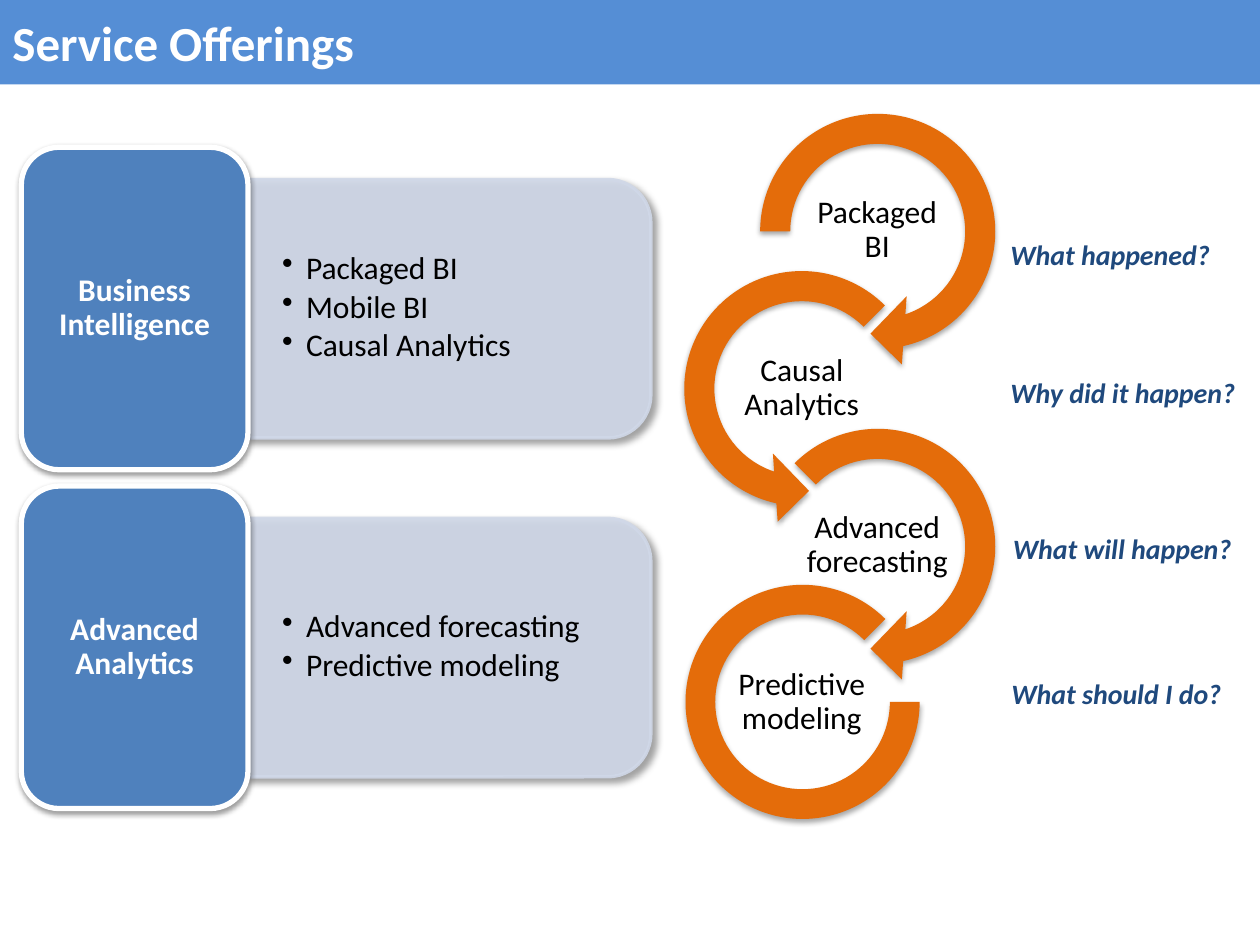
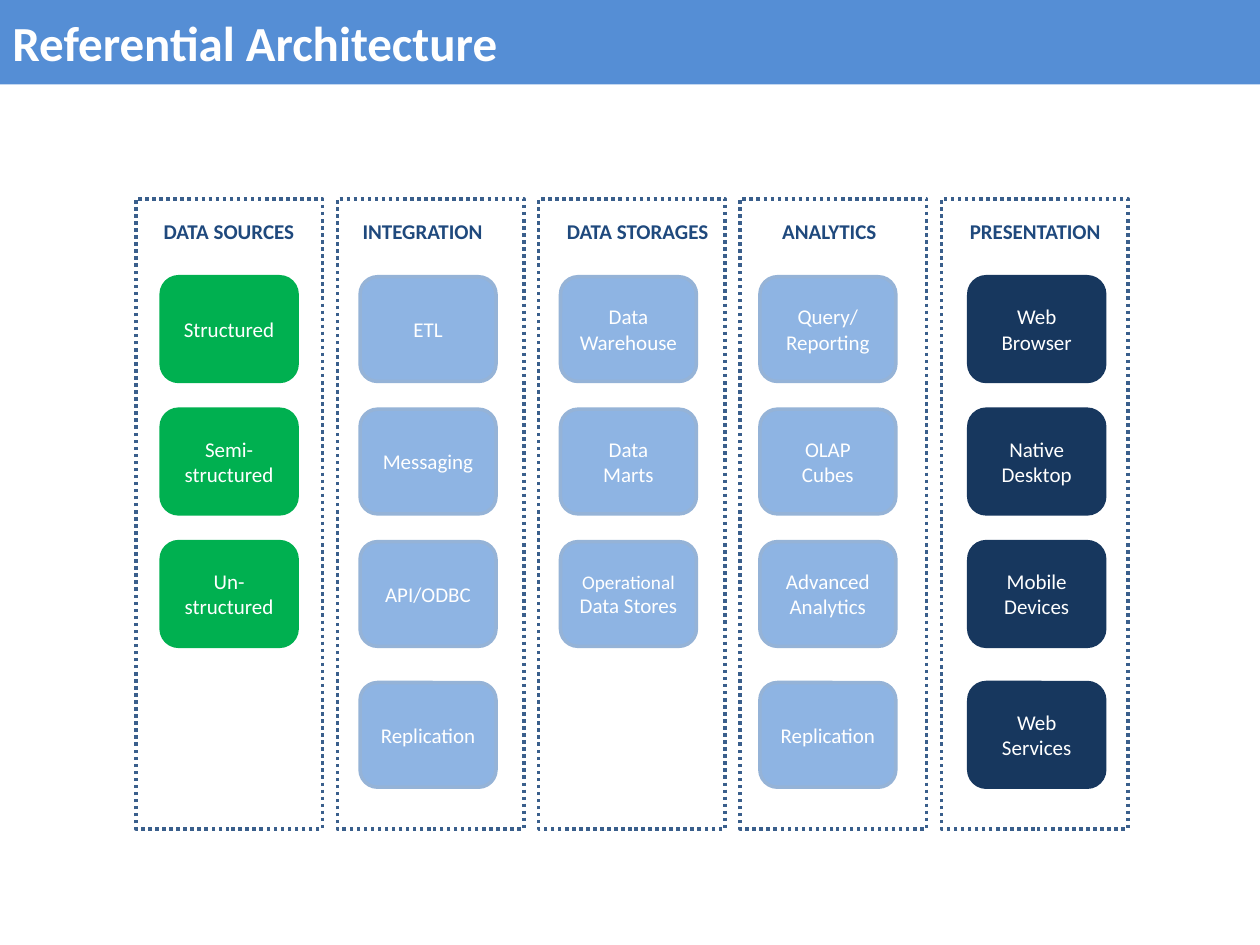
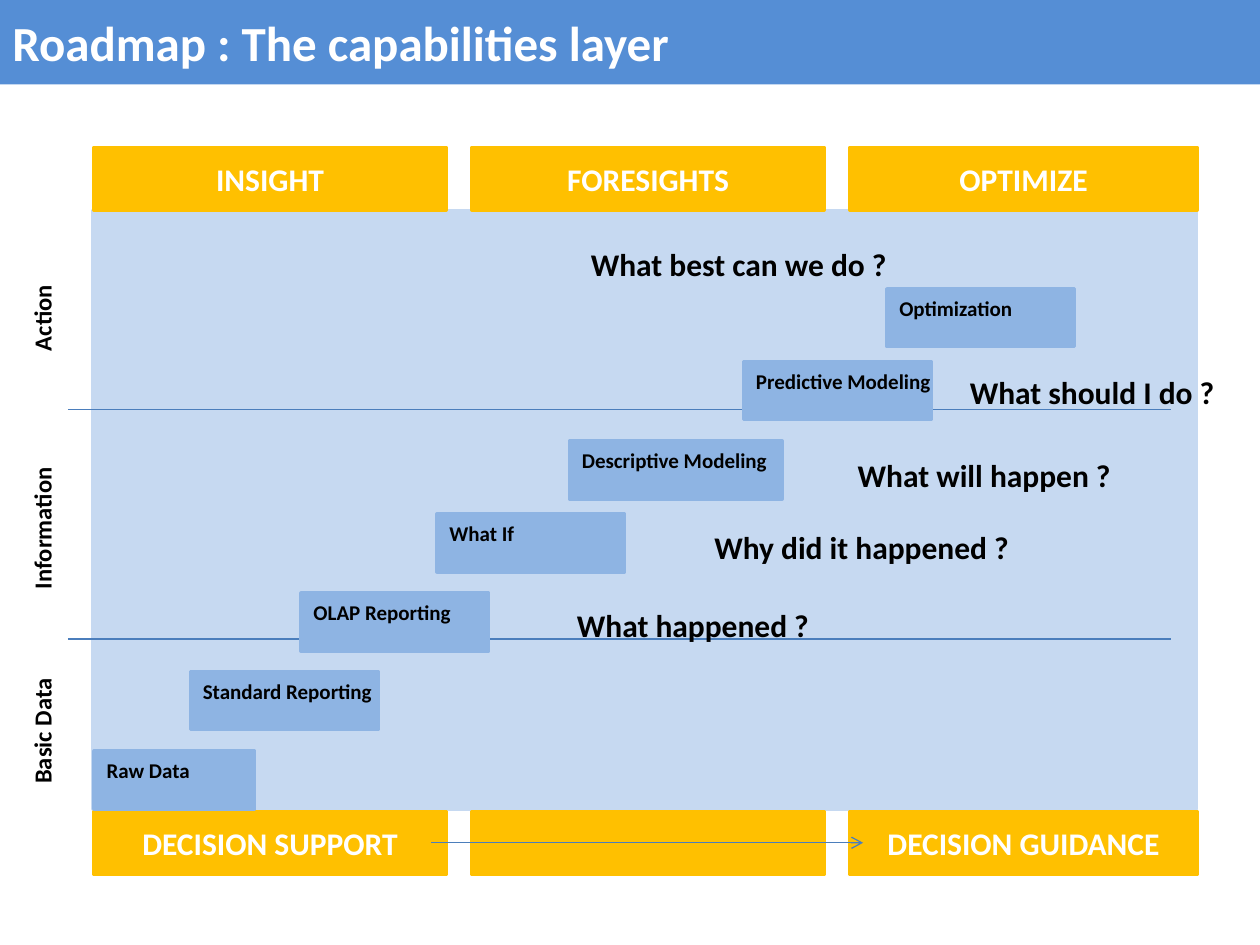
from dataclasses import dataclass

from lxml.etree import SubElement
from pptx import Presentation
from pptx.dml.color import RGBColor
from pptx.enum.dml import MSO_LINE
from pptx.enum.shapes import MSO_CONNECTOR, MSO_SHAPE as Kind
from pptx.enum.text import MSO_ANCHOR as Anchor, MSO_AUTO_SIZE, PP_ALIGN as Align
from pptx.oxml.ns import qn
from pptx.util import Cm, Pt

rgb = RGBColor.from_string


@dataclass(frozen=True)
class Theme:
    font: str = "Calibri"
    white: RGBColor = rgb("FFFFFF")
    black: RGBColor = rgb("000000")
    band: RGBColor = rgb("558ED5")
    card: RGBColor = rgb("4F81BD")
    panel: RGBColor = rgb("D0D8E8")
    orange: RGBColor = rgb("E46C0A")
    heading: RGBColor = rgb("1F497D")
    green: RGBColor = rgb("00B050")
    sky: RGBColor = rgb("8EB4E3")
    sky_edge: RGBColor = rgb("95B3D7")
    navy: RGBColor = rgb("17375E")
    frame: RGBColor = rgb("3A5F8C")
    amber: RGBColor = rgb("FFC000")
    backdrop: RGBColor = rgb("C6D9F1")
    rule: RGBColor = rgb("4B7EBC")
    title_size: int = 28
    body_size: int = 18
    question_size: int = 16
    axis_size: int = 14
    small_size: int = 12
    tight_size: int = 11


theme = Theme()


def place(page, kind, left, top, width, height, fill=None, line=None, weight=2, shadow=None):
    area = [Cm(value) for value in (left, top, width, height)]
    if kind is None:
        return page.shapes.add_textbox(*area)
    box = page.shapes.add_shape(kind, *area)
    box.shadow.inherit = False
    if fill is None:
        box.fill.background()
    else:
        box.fill.solid()
        box.fill.fore_color.rgb = fill
    if line is None:
        box.line.fill.background()
    else:
        box.line.color.rgb = line
        box.line.width = Pt(weight)
    if shadow:
        alpha, blur, distance, angle = shadow
        effects = box.element.spPr.find(qn("a:effectLst"))
        outer = SubElement(effects, qn("a:outerShdw"), blurRad=str(Pt(blur)), dist=str(Pt(distance)),
                           dir=str(angle * 60000), algn="ctr", rotWithShape="0")
        tint = SubElement(outer, qn("a:srgbClr"), val=str(theme.black))
        SubElement(tint, qn("a:alpha"), val=str(alpha * 1000))
    return box


def write(box, lines, size, color, bold=False, italic=False, align=Align.LEFT,
          anchor=Anchor.TOP, wrap=False, margins=(0.25, 0.13), spacing=None):
    frame = box.text_frame
    frame.text = "\n".join(lines)
    frame.auto_size = MSO_AUTO_SIZE.NONE
    frame.word_wrap = wrap
    frame.vertical_anchor = anchor
    frame.margin_left = frame.margin_right = Cm(margins[0])
    frame.margin_top = frame.margin_bottom = Cm(margins[1])
    for para in frame.paragraphs:
        para.alignment = align
        para.line_spacing = spacing
        para.font.name = theme.font
        para.font.size = Pt(size)
        para.font.bold = bold
        para.font.italic = italic
        para.font.color.rgb = color
    return frame.paragraphs


deck = Presentation()
deck.slide_width, deck.slide_height = Cm(25.4), Cm(19.05)
pages = []
for heading in ("Service Offerings", "Referential Architecture", "Roadmap : The capabilities layer"):
    page = deck.slides.add_slide(deck.slide_layouts[5])
    title = page.shapes.title
    title.left, title.top, title.width, title.height = 0, 0, deck.slide_width, Cm(1.7)
    title.fill.solid()
    title.fill.fore_color.rgb = theme.band
    write(title, [heading], theme.title_size, theme.white, bold=True, anchor=Anchor.MIDDLE, wrap=True)
    pages.append(page)
offerings, architecture, roadmap = pages

rings = [
    (Kind.CIRCULAR_ARROW, 14.94, 1.91, 5.51, (0.11, 11.423, 45, 108, 0.125), 16.15, "Packaged BI"),
    (Kind.LEFT_CIRCULAR_ARROW, 13.41, 5.08, 5.51, (0.11, 11.423, 63, 189, 0.125), 14.63, "Causal Analytics"),
    (Kind.CIRCULAR_ARROW, 14.94, 8.26, 5.51, (0.11, 11.423, 45, 135, 0.125), 16.15, "Advanced forecasting"),
    (Kind.BLOCK_ARC, 13.82, 11.79, 4.72, (0, 189, 0.127), 14.63, "Predictive modeling"),
]
for row, (kind, left, top, size, adjustments, label_left, name) in enumerate(rings):
    ring = place(offerings, kind, left, top, size, size, theme.orange, shadow=(35, 3.1, 1.8, 90))
    for index, value in enumerate(adjustments):
        ring.adjustments[index] = value
    label = place(offerings, None, label_left, 3.89 + 3.17 * row, 3.07, 1.52)
    write(label, [name], theme.body_size, theme.black, align=Align.CENTER, anchor=Anchor.MIDDLE,
          wrap=True, margins=(0.03, 0.03), spacing=0.9)

services = [
    ("Business Intelligence", ["Packaged BI", "Mobile BI", "Causal Analytics"]),
    ("Advanced Analytics", ["Advanced forecasting", "Predictive modeling"]),
]
for row, (name, items) in enumerate(services):
    drop = 6.83 * row
    panel = place(offerings, Kind.ROUND_2_SAME_RECTANGLE, 6.45, 2.16 + drop, 5.21, 8.13,
                  theme.panel, theme.panel, shadow=(40, 4, 3, 45))
    panel.rotation = 90
    for tint in panel.element.spPr.iterfind(".//" + qn("a:solidFill") + "/" + qn("a:srgbClr")):
        SubElement(tint, qn("a:alpha"), val="90000")
    listing = place(offerings, None, 5, 3.86 + drop, 7.87, 4.7)
    for para in write(listing, items, theme.body_size, theme.black, anchor=Anchor.MIDDLE,
                      wrap=True, margins=(0.69, 0.36), spacing=0.9):
        para.space_after = Pt(2.7)
        settings = para._p.get_or_add_pPr()
        settings.set("marL", str(Cm(0.48)))
        settings.set("indent", str(-Cm(0.48)))
        SubElement(settings, qn("a:buChar"), char="•")
        settings.append(settings.find(qn("a:defRPr")))
    card = place(offerings, Kind.ROUNDED_RECTANGLE, 0.43, 2.97 + drop, 4.57, 6.5,
                 theme.card, theme.white, 3, (38, 3.1, 1.6, 90))
    write(card, [name], theme.body_size, theme.white, bold=True, align=Align.CENTER,
          anchor=Anchor.MIDDLE, wrap=True, spacing=0.9)

for left, top, width, question in [
    (20.12, 4.65, 4.62, "What happened?"),
    (20.12, 7.44, 5.11, "Why did it happen?"),
    (20.17, 10.59, 5.03, "What will happen?"),
    (20.14, 13.51, 4.8, "What should I do?"),
]:
    box = place(offerings, None, left, top, width, 0.94)
    write(box, [question], theme.question_size, theme.heading, bold=True, italic=True)

layers = [
    ("DATA SOURCES", 3.05, 3.18, 3.25, theme.green, theme.green,
     ["Structured", "Semi-\nstructured", "Un-\nstructured"]),
    ("INTEGRATION", 7.06, 2.97, 7.26, theme.sky, theme.sky_edge,
     ["ETL", "Messaging", "API/ODBC", "Replication"]),
    ("DATA STORAGES", 11.18, 3.4, 11.3, theme.sky, theme.sky_edge,
     ["Data\nWarehouse", "Data\nMarts", "Operational\nData Stores"]),
    ("ANALYTICS", 15.52, 2.44, 15.32, theme.sky, theme.sky_edge,
     ["Query/\nReporting", "OLAP\nCubes", "Advanced\nAnalytics", "Replication"]),
    ("PRESENTATION", 19.3, 3.18, 19.53, theme.navy, theme.navy,
     ["Web\nBrowser", "Native\nDesktop", "Mobile\nDevices", "Web\nServices"]),
]
row_tops = (5.58, 8.25, 10.92, 13.76)
for column, (name, name_left, name_width, card_left, fill, edge, parts) in enumerate(layers):
    for top, part in zip(row_tops, parts):
        card = place(architecture, Kind.ROUNDED_RECTANGLE, card_left, top, 2.74, 2.11, fill, edge)
        for para in write(card, part.split("\n"), theme.small_size, theme.white, align=Align.CENTER,
                          anchor=Anchor.MIDDLE, wrap=True):
            if para.text == "Operational":
                para.font.size = Pt(theme.tight_size)
    frame = place(architecture, Kind.RECTANGLE, 2.74 + 4.06 * column, 4.01, 3.76, 12.7, line=theme.frame)
    frame.line.dash_style = MSO_LINE.ROUND_DOT
    header = place(architecture, None, name_left, 4.27, name_width, 0.76)
    write(header, [name], theme.small_size, theme.heading, bold=True)

place(roadmap, Kind.RECTANGLE, 1.88, 4.24, 22.23, 12.07, theme.backdrop, theme.backdrop)
for top, names in [
    (2.97, ("INSIGHT", "FORESIGHTS", "OPTIMIZE")),
    (16.36, ("DECISION SUPPORT", "", "DECISION GUIDANCE")),
]:
    for column, (name, width) in enumerate(zip(names, (7.09, 7.09, 6.99))):
        box = place(roadmap, Kind.RECTANGLE, 1.9 + 7.62 * column, top, width, 1.27, theme.amber, theme.amber)
        if name:
            write(box, [name], theme.body_size, theme.white, bold=True, align=Align.CENTER,
                  anchor=Anchor.MIDDLE, wrap=True)

for start, end, height, head in [(1.37, 23.6, 8.26, None), (1.37, 23.6, 12.88, None), (8.69, 17.4, 16.99, "arrow")]:
    rule = roadmap.shapes.add_connector(MSO_CONNECTOR.STRAIGHT, Cm(start), Cm(height), Cm(end), Cm(height))
    rule.line.color.rgb = theme.rule
    rule.line.width = Pt(0.75)
    if head:
        SubElement(rule.line._get_or_add_ln(), qn("a:tailEnd"), type=head)
    SubElement(rule.element.spPr, qn("a:effectLst"))

for middle, width, name in [(14.73, 2.64, "Basic Data"), (10.64, 2.97, "Information"), (6.4, 1.85, "Action")]:
    label = place(roadmap, None, 0.85 - width / 2, middle - 0.43, width, 0.86)
    label.rotation = 270
    write(label, [name], theme.axis_size, theme.black, bold=True)

for left, top, width, name in [
    (1.9, 15.14, 3.23, "Raw Data"),
    (3.84, 13.54, 3.78, "Standard Reporting"),
    (6.07, 11.96, 3.78, "OLAP Reporting"),
    (8.81, 10.36, 3.78, "What If"),
    (11.48, 8.89, 4.29, "Descriptive Modeling"),
    (14.99, 7.29, 3.78, "Predictive Modeling"),
    (17.88, 5.82, 3.78, "Optimization"),
]:
    step = place(roadmap, Kind.RECTANGLE, left, top, width, 1.17, theme.sky, theme.sky)
    write(step, [name], theme.small_size, theme.black, bold=True)
    step.text_frame.margin_right = 0

for left, top, width, question in [
    (11.38, 12.09, 5.23, "What happened ?"),
    (14.15, 10.52, 6.5, "Why did it happened ?"),
    (11.66, 4.8, 6.53, "What best can we do ?"),
    (17.04, 9.07, 5.66, "What will happen ?"),
    (19.3, 7.39, 5.49, "What should I do ?"),
]:
    box = place(roadmap, None, left, top, width, 1.02)
    write(box, [question], theme.body_size, theme.black, bold=True)

deck.save("out.pptx")
